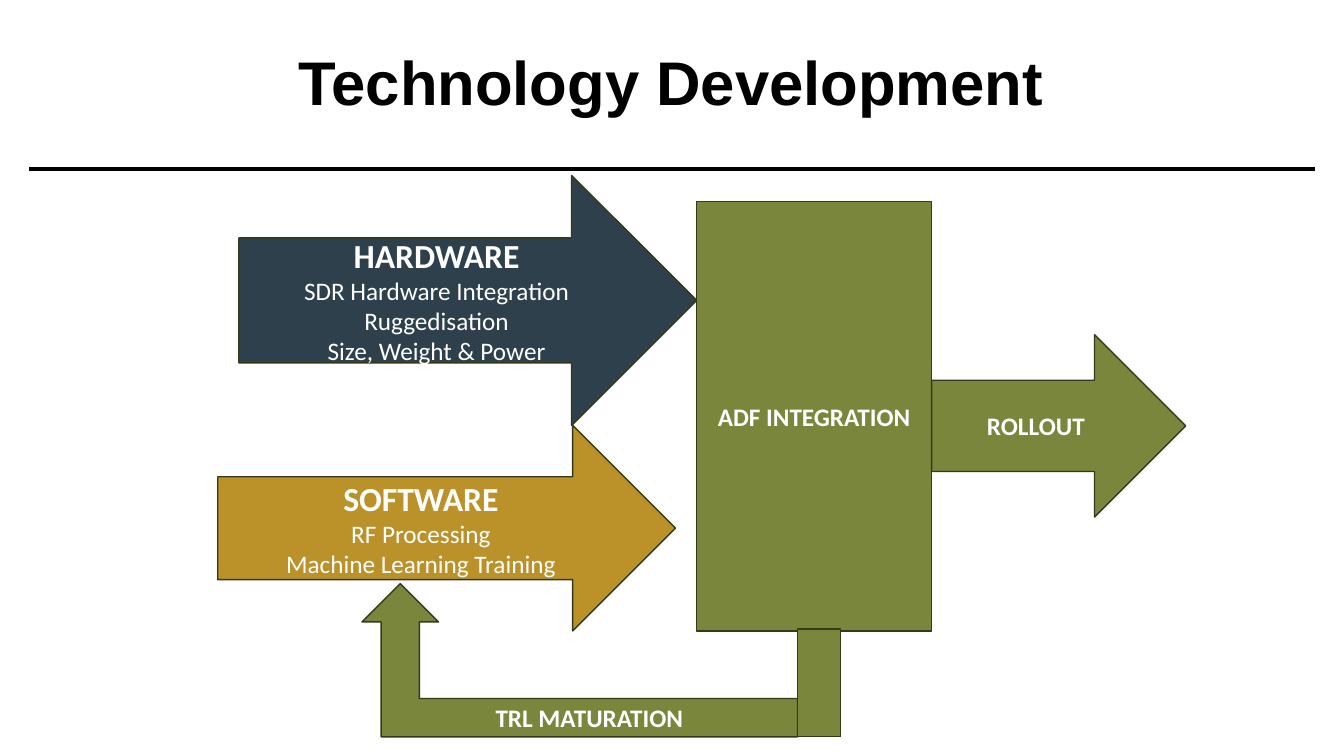
import pptx
import pptx.util
import pptx.dml.color
import pptx.enum.shapes
import pptx.enum.text
import pptx.oxml
from dataclasses import dataclass

TITLE = "Technology Development"
HARD = ["HARDWARE", "SDR Hardware Integration", "Ruggedisation", "Size, Weight & Power"]
SOFT = ["SOFTWARE", "RF Processing", "Machine Learning Training"]
CORE = ["ADF INTEGRATION"]
ROLL = ["ROLLOUT"]
LOOP = ["TRL MATURATION"]


@dataclass(frozen=True)
class Theme:
    navy: str = "2D404C"
    gold: str = "BB9129"
    olive: str = "79863C"
    edge: str = "353B1A"
    ink: str = "000000"
    white: str = "FFFFFF"
    head: str = "Arial"
    body: str = "Calibri"
    title: int = 44
    big: int = 24
    small: int = 18
    rule: int = 3
    thin: int = 1


theme = Theme()
Kind = pptx.enum.shapes.MSO_SHAPE
Pt = pptx.util.Pt

deck = pptx.Presentation()
deck.slide_width = pptx.util.Inches(13.33)
deck.slide_height = pptx.util.Inches(7.5)
slide = deck.slides.add_slide(deck.slide_layouts[6])

COLS, ROWS = 133.3, 75


def grid(x, y):
    return round(deck.slide_width * x / COLS), round(deck.slide_height * y / ROWS)


def color(code):
    return pptx.dml.color.RGBColor.from_string(code)


def style(para, size, name, code, bold):
    para.alignment = pptx.enum.text.PP_ALIGN.CENTER
    para.font.size = Pt(size)
    para.font.name = name
    para.font.color.rgb = color(code)
    para.font.bold = bold


def fill_text(shape, lines):
    frame = shape.text_frame
    frame.word_wrap = True
    frame.vertical_anchor = pptx.enum.text.MSO_ANCHOR.MIDDLE
    frame.text = "\n".join(lines)
    return frame.paragraphs


def block(kind, left, top, right, low, tint, lines=()):
    shape = slide.shapes.add_shape(
        kind, *grid(left, top), *grid(right - left, low - top))
    shape.shadow.inherit = False
    shape.fill.solid()
    shape.fill.fore_color.rgb = color(tint)
    shape.line.color.rgb = color(theme.edge)
    shape.line.width = Pt(theme.thin)
    for i, para in enumerate(fill_text(shape, lines)):
        size = theme.big if i == 0 and len(lines) > 1 else theme.small
        style(para, size, theme.body, theme.white, i == 0)
    return shape


def heading():
    box = slide.shapes.add_textbox(*grid(3.5, 0), *grid(126.2, 17))
    para = fill_text(box, [TITLE])[0]
    para.line_spacing = 0.9
    style(para, theme.title, theme.head, theme.ink, True)
    rule = slide.shapes.add_connector(
        pptx.enum.shapes.MSO_CONNECTOR.STRAIGHT, *grid(130.4, 16.8), *grid(2.9, 16.8))
    rule.line.color.rgb = color(theme.ink)
    rule.line.width = Pt(theme.rule)
    rule._element.spPr.append(pptx.oxml.parse_xml(
        '<a:effectLst xmlns:a="http://schemas.openxmlformats.org/drawingml/2006/main"/>'))


def flow():
    wide = 45.4
    start, end = 69.1, 92.4
    split, base = 42.2, 62.6
    turn, floor = 79.1, 73.1
    soft = 21.6
    block(Kind.RIGHT_ARROW, start - wide, 17.4, start, split, theme.navy, HARD)
    block(Kind.RIGHT_ARROW, soft, split, soft + wide, base, theme.gold, SOFT)
    block(Kind.RECTANGLE, start, 20, end, base, theme.olive, CORE)
    block(Kind.RIGHT_ARROW, end, 33.2, end + 25.2, 51.3, theme.olive, ROLL)
    loop = block(Kind.BENT_UP_ARROW, 35.9, 57.9, turn, floor, theme.olive, LOOP)
    loop._element.spPr.xfrm.set("flipH", "1")
    block(Kind.RECTANGLE, turn, 62.4, turn + 4.3, floor, theme.olive)


heading()
flow()
deck.save("out.pptx")
